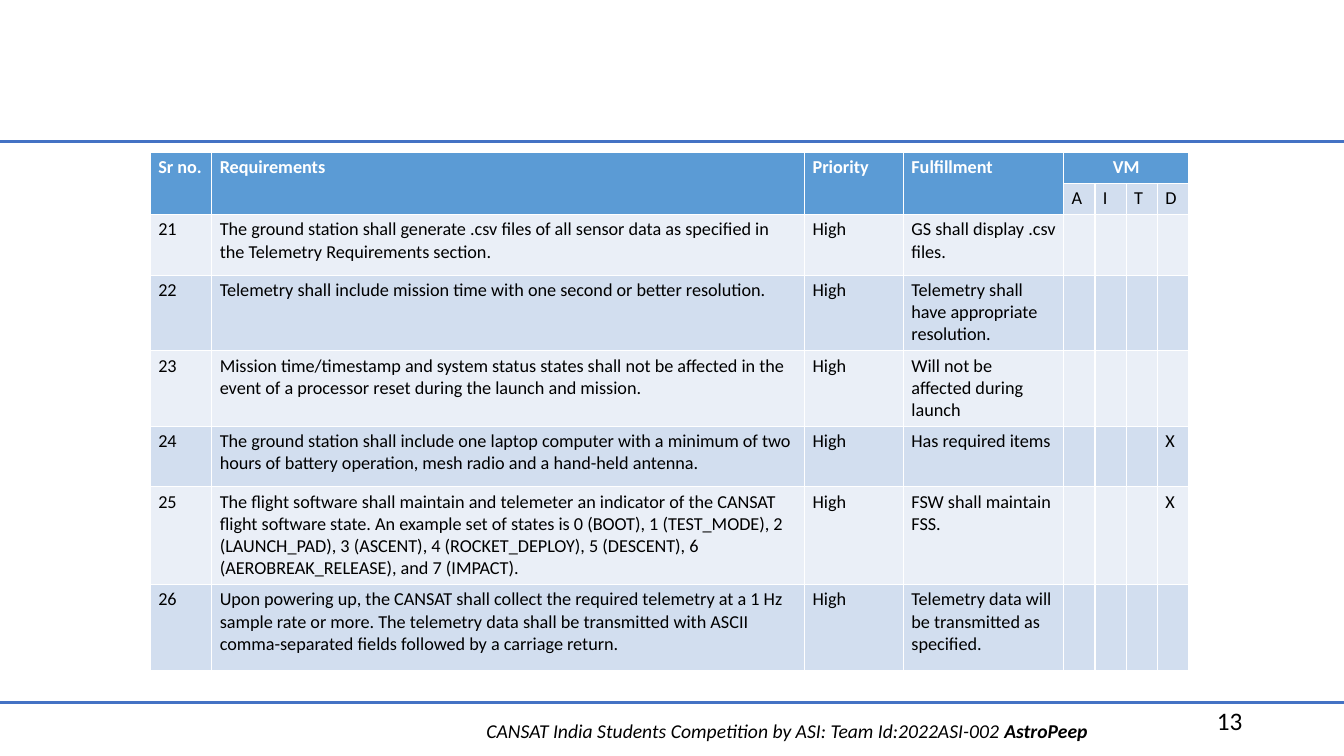
"""Build the requirements table slide, numbers 21 to 26, with its footer."""
from lxml import etree
from pptx import Presentation
from pptx import util as u
from pptx.dml.color import RGBColor
from pptx.enum import shapes, text
from pptx.oxml import ns

COLORS = {"rule": "4472C4", "header": "5B9BD5", "dark_band": "D2DEEF",
          "light_band": "EAEFF7", "white": "FFFFFF", "black": "000000"}
METHODS = "AITD"
COLUMN_WIDTHS = [0.61, 5.88, 0.98, 1.59] + [0.31] * len(METHODS)
ROW_HEIGHTS = [0.31, 0.31, 0.6, 0.75, 0.75, 0.6, 0.97, 0.85]
HEADINGS = ["Sr no.", "Requirements", "Priority", "Fulfillment", "VM"]
FIRST_NUMBER = 21
REQUIREMENTS = [
    ("The ground station shall generate .csv files of all sensor data as specified in "
     "the Telemetry Requirements section.", "GS shall display .csv files.", ""),
    ("Telemetry shall include mission time with one second or better resolution.",
     "Telemetry shall have appropriate resolution.", ""),
    ("Mission time/timestamp and system status states shall not be affected in the "
     "event of a processor reset during the launch and mission.",
     "Will not be affected during launch", ""),
    ("The ground station shall include one laptop computer with a minimum of two "
     "hours of battery operation, mesh radio and a hand-held antenna.",
     "Has required items", "D"),
    ("The flight software shall maintain and telemeter an indicator of the CANSAT "
     "flight software state. An example set of states is 0 (BOOT), 1 (TEST_MODE), 2 "
     "(LAUNCH_PAD), 3 (ASCENT), 4 (ROCKET_DEPLOY), 5 (DESCENT), 6 "
     "(AEROBREAK_RELEASE), and 7 (IMPACT).", "FSW shall maintain FSS.", "D"),
    ("Upon powering up, the CANSAT shall collect the required telemetry at a 1 Hz "
     "sample rate or more. The telemetry data shall be transmitted with ASCII "
     "comma-separated fields followed by a carriage return.",
     "Telemetry data will be transmitted as specified.", ""),
]


def style_font(font, size, color):
    """Set the typeface, size and colour of a font."""
    font.name = "Calibri"
    font.size = u.Pt(size)
    font.color.rgb = RGBColor.from_string(COLORS[color])


def add_label(slide, left, top, width, height, runs, size, alignment):
    """Add a one-paragraph text box and return its paragraph."""
    box = slide.shapes.add_textbox(u.Inches(left), u.Inches(top),
                                   u.Inches(width), u.Inches(height))
    box.text_frame.word_wrap = True
    paragraph = box.text_frame.paragraphs[0]
    paragraph.alignment = alignment
    style_font(paragraph.font, size, "black")
    for words, bold in runs:
        run = paragraph.add_run()
        run.text = words
        run.font.bold = bold
    return paragraph


presentation = Presentation()
presentation.slide_width = u.Inches(13.33)
presentation.slide_height = u.Inches(7.5)
slide = presentation.slides.add_slide(presentation.slide_layouts[6])

footer = add_label(slide, 4.68, 7.08, 6.25, 0.34,
                   [("CANSAT India Students Competition by ASI: Team Id:2022ASI-002 ", False),
                    ("AstroPeep", True)], 14, text.PP_ALIGN.CENTER)
footer.font.italic = True

for rule_top in (6.97, 1.4):
    rule = slide.shapes.add_connector(shapes.MSO_CONNECTOR.STRAIGHT, 0, u.Inches(rule_top),
                                      presentation.slide_width, u.Inches(rule_top))
    rule.line.color.rgb = RGBColor.from_string(COLORS["rule"])
    rule.line.width = u.Pt(2)
    etree.SubElement(rule._element.spPr, ns.qn("a:effectLst"))

rows = [HEADINGS + [""] * (len(METHODS) - 1), [""] * len(HEADINGS[:-1]) + list(METHODS)]
for number, (requirement, fulfillment, method) in enumerate(REQUIREMENTS, FIRST_NUMBER):
    marks = ["X" if letter == method else "" for letter in METHODS]
    rows.append([str(number), requirement, "High", fulfillment] + marks)

table = slide.shapes.add_table(len(rows), len(COLUMN_WIDTHS), u.Inches(1.49), u.Inches(1.51),
                               u.Inches(sum(COLUMN_WIDTHS)), u.Inches(sum(ROW_HEIGHTS))).table
for column, width in zip(table.columns, COLUMN_WIDTHS):
    column.width = u.Inches(width)

first_method = len(HEADINGS) - 1
for row_index, (values, height) in enumerate(zip(rows, ROW_HEIGHTS)):
    table.rows[row_index].height = u.Inches(height)
    for column_index, value in enumerate(values):
        cell = table.cell(row_index, column_index)
        is_header = row_index == 0 or (row_index == 1 and column_index < first_method)
        band = "header" if is_header else "dark_band" if row_index % 2 else "light_band"
        cell.fill.solid()
        cell.fill.fore_color.rgb = RGBColor.from_string(COLORS[band])
        cell.margin_left = cell.margin_right = u.Inches(0.08)
        cell.margin_top = cell.margin_bottom = u.Inches(0.04)
        cell.text = value
        paragraph = cell.text_frame.paragraphs[0]
        style_font(paragraph.font, 13, "white" if is_header else "black")
        paragraph.font.bold = is_header

for column_index in range(first_method):
    table.cell(0, column_index).merge(table.cell(1, column_index))
methods_heading = table.cell(0, first_method)
methods_heading.merge(table.cell(0, len(COLUMN_WIDTHS) - 1))
methods_heading.text_frame.paragraphs[0].alignment = text.PP_ALIGN.CENTER

add_label(slide, 9.42, 6.95, 3, 0.4, [("13", False)], 18, text.PP_ALIGN.RIGHT)

presentation.save("out.pptx")
